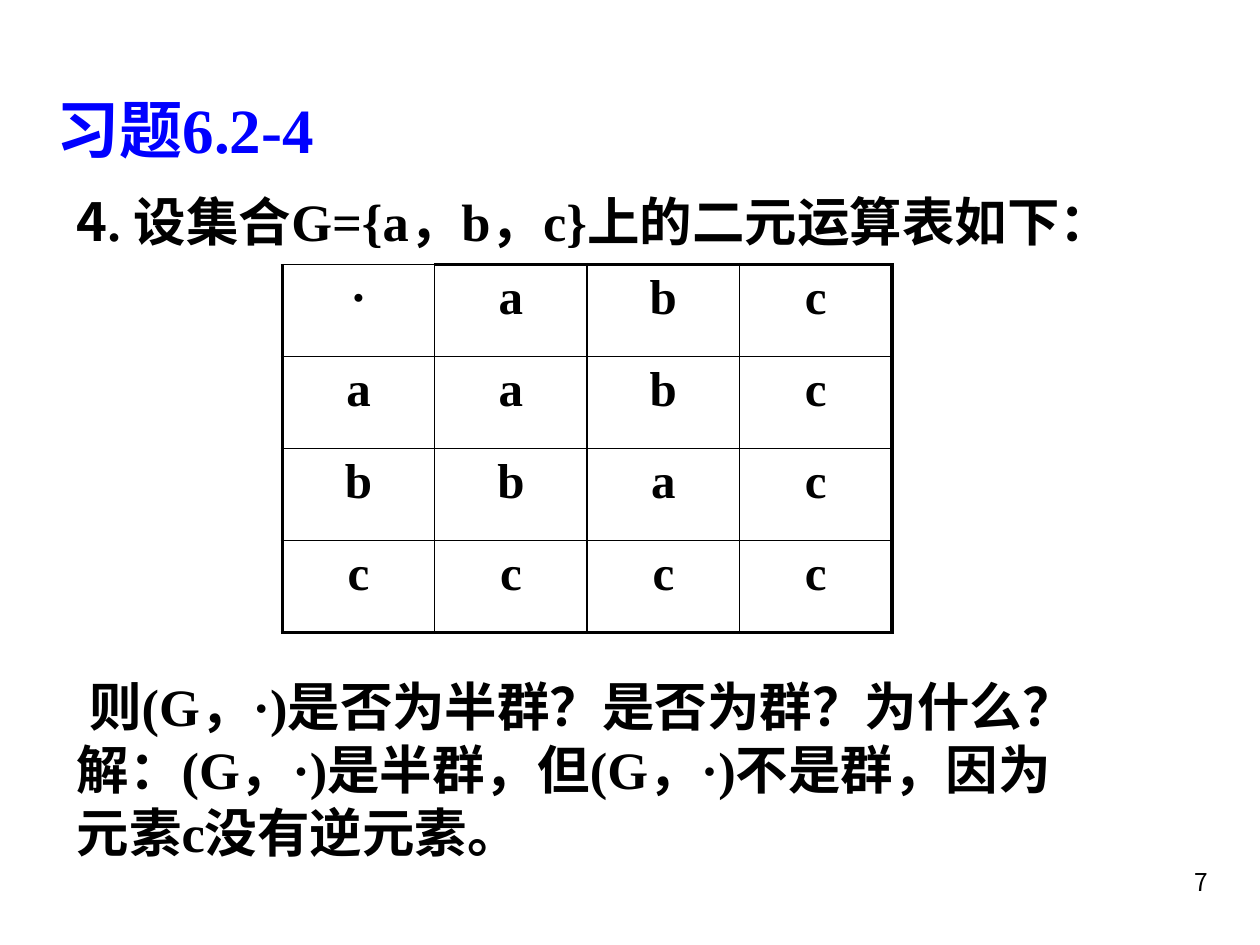
"""Build the slide on exercise 6.2-4: an operation table and its solution."""
import pptx
import pptx.util
import pptx.dml.color
import pptx.enum.text
import pptx.oxml.ns
import lxml.etree

BLACK = pptx.dml.color.RGBColor(0, 0, 0)
BLUE = pptx.dml.color.RGBColor(0, 0, 255)
SERIF, HAN, PAGE = "Times New Roman", "Noto Sans CJK SC", "Noto Sans CJK KR"
ALIGN = pptx.enum.text.PP_ALIGN
ANCHOR = pptx.enum.text.MSO_ANCHOR
Inches, Pt = pptx.util.Inches, pptx.util.Pt

TITLE = "习题6.2-4"
TASK = ["4. 设集合G={a，b，c}上的二元运算表如下："]
ANSWER = [
    "则(G，·)是否为半群？是否为群？为什么？",
    "解：(G，·)是半群，但(G，·)不是群，因为",
    "元素c没有逆元素。",
]
GRID = ["·abc", "aabc", "bbac", "cccc"]
NUMBER = "7"
LEFT, WIDE = 0.51, 9.49
COL, ROW = 1.21, 0.73
THIN, THICK = 1, 2.25


def add(parent, tag, **attrs):
    return lxml.etree.SubElement(parent, pptx.oxml.ns.qn(tag), **attrs)


def style(run, size, color=BLACK, face=SERIF, bold=True):
    font = run.font
    font.size, font.bold, font.name = Pt(size), bold, face
    font.color.rgb = color
    add(run._r.get_or_add_rPr(), "a:ea", typeface=PAGE if face == PAGE else HAN)


def write(slide, lines, top, height):
    box = slide.shapes.add_textbox(*map(Inches, (LEFT, top, WIDE, height)))
    frame = box.text_frame
    frame.word_wrap = True
    frame.text = "\n".join(lines)
    for para in frame.paragraphs:
        para.line_spacing = Pt(36)
        style(para.runs[0], 30)
    return frame


def border(cell, sides):
    props = cell._tc.get_or_add_tcPr()
    for spot, (side, width) in enumerate(sides.items()):
        line = lxml.etree.Element(pptx.oxml.ns.qn("a:ln" + side), w=str(Pt(width)))
        add(add(line, "a:solidFill"), "a:srgbClr", val=str(BLACK))
        props.insert(spot, line)


def fill_table(slide):
    count = len(GRID)
    spot = map(Inches, (2.24, 2.1, COL * count, ROW * count))
    table = slide.shapes.add_table(count, count, *spot).table
    table.first_row = table.horz_banding = False
    for col in table.columns:
        col.width = Inches(COL)
    for row in table.rows:
        row.height = Inches(ROW)
    last = count - 1
    for r, marks in enumerate(GRID):
        for c, mark in enumerate(marks):
            cell = table.cell(r, c)
            cell.text = mark
            para = cell.text_frame.paragraphs[0]
            para.alignment = ALIGN.CENTER
            style(para.runs[0], 28)
            cell.fill.background()
            border(cell, {
                "L": THICK if c == 0 else THIN,
                "R": THICK if c == last else THIN,
                "T": THICK if r == 0 and c > 0 else THIN,
                "B": THICK if r == last else THIN,
            })


def main():
    deck = pptx.Presentation()
    deck.slide_width, deck.slide_height = Inches(10), Inches(7.5)
    slide = deck.slides.add_slide(deck.slide_layouts[5])

    title = slide.shapes.title
    title.left, title.top, title.width, title.height = map(
        Inches, (0.35, 0.67, 8.5, 0.7))
    title.text_frame.text = TITLE
    title.text_frame.vertical_anchor = ANCHOR.MIDDLE
    para = title.text_frame.paragraphs[0]
    para.alignment = ALIGN.LEFT
    style(para.runs[0], 36, BLUE)

    task = write(slide, TASK, 1.45, 0.6).paragraphs[0]
    lead = task.runs[0]
    digit, rest = lead.text[:1], lead.text[1:]
    lead.text = digit
    lead.font.name = HAN
    tail = task.add_run()
    tail.text = rest
    style(tail, 30)

    fill_table(slide)
    first = write(slide, ANSWER, 5.3, 1.6).paragraphs[0]
    first._p.get_or_add_pPr().set("marL", str(Inches(0.1)))

    page = slide.shapes.add_textbox(*map(Inches, (7.61, 6.83, 2.08, 0.5)))
    page.text_frame.word_wrap = True
    page.text_frame.text = NUMBER
    para = page.text_frame.paragraphs[0]
    para.alignment = ALIGN.RIGHT
    style(para.runs[0], 14, face=PAGE, bold=False)

    deck.save("out.pptx")


if __name__ == "__main__":
    main()
